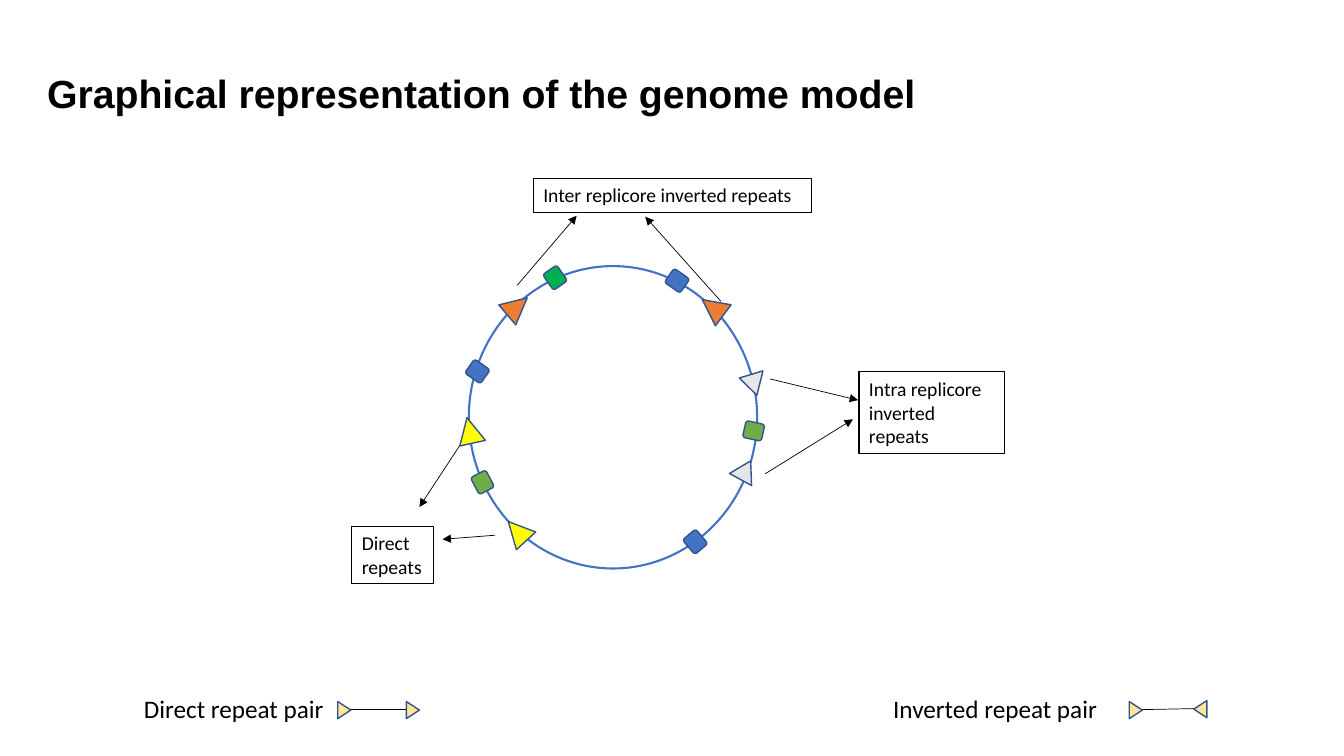
"""Build a slide showing repeats placed on a circular genome model."""
import pptx
import pptx.dml.color
import pptx.enum.shapes
import pptx.enum.text
import pptx.oxml.ns
import pptx.util
from lxml import etree

Inches = pptx.util.Inches
Shape = pptx.enum.shapes.MSO_SHAPE
Anchor = pptx.enum.text.MSO_ANCHOR
Fit = pptx.enum.text.MSO_AUTO_SIZE

THEME = {
    "blue": "4472C4", "outline": "325491", "orange": "ED7D31", "gray": "E7E6E6",
    "green": "70AD47", "emerald": "00B050", "yellow": "FFFF00", "cream": "FFE699",
    "black": "000000", "white": "FFFFFF",
    "title": {"name": "Arial", "size": 28, "bold": True},
    "callout": {"name": "Calibri", "size": 14, "bold": False},
    "legend": {"name": "Calibri", "size": 18, "bold": False},
}
SLIDE_SIZE = (13.33, 7.5)
TITLE = ("Graphical representation of the genome model", (0.37, 0.2, 11.5, 1.45))
GENOME = (4.65, 2.64, 2.86, 3)

MARKERS = {
    "repeat": (Shape.ISOSCELES_TRIANGLE, 0.26, 0.26),
    "small repeat": (Shape.ISOSCELES_TRIANGLE, 0.25, 0.21),
    "gene": (Shape.ROUNDED_RECTANGLE, 0.19, 0.17),
    "legend": (Shape.ISOSCELES_TRIANGLE, 0.17, 0.13),
}
GENOME_MARKERS = [
    ("repeat", 6.94, 2.92, 306.9, "orange"),
    ("repeat", 5, 2.91, 49.5, "orange"),
    ("repeat", 5, 5.14, 317.5, "yellow"),
    ("repeat", 4.53, 4.14, 347.6, "yellow"),
    ("small repeat", 7.27, 4.56, 28.6, "gray"),
    ("small repeat", 7.31, 3.67, 283.9, "gray"),
    ("gene", 6.62, 2.7, 35.2, "blue"),
    ("gene", 7.38, 4.19, 12.6, "green"),
    ("gene", 4.64, 3.6, 35.2, "blue"),
    ("gene", 4.69, 4.7, 62.3, "green"),
    ("gene", 5.41, 2.67, 55.3, "emerald"),
    ("gene", 6.8, 5.29, 49.9, "blue"),
]
CALLOUTS = [
    ("Inter replicore inverted repeats", (5.29, 1.77, 2.76, 0.34),
     [((7.15, 2.99), (6.4, 2.15)), ((5.13, 2.83), (5.72, 2.14))]),
    ("Intra replicore inverted repeats", (8.52, 3.69, 1.44, 0.81),
     [((7.59, 4.7), (8.46, 4.16)), ((7.64, 3.76), (8.51, 3.97))]),
    ("Direct repeats", (3.49, 5.22, 0.81, 0.57),
     [((4.56, 4.42), (4.16, 5.03)), ((4.91, 5.31), (4.39, 5.35))]),
]
LEGEND = [
    ("Direct repeat pair", (1.33, 6.83, 3.17, 0.4),
     [(3.33, 6.98, 90), (4.01, 6.98, 90)], ((3.48, 7.04), (4.03, 7.04))),
    ("Inverted repeat pair", (8.76, 6.83, 2.51, 0.4),
     [(11.18, 6.98, 90), (11.82, 6.97, 270)], ((11.33, 7.04), (11.84, 7.03))),
]


def color(name):
    return pptx.dml.color.RGBColor.from_string(THEME[name])


def set_all(target, values):
    for name, value in values.items():
        setattr(target, name, value)


def set_line(line, name, width):
    line.color.rgb = color(name)
    line.width = pptx.util.Pt(width)


def add_figure(page, kind, frame, fill, outline, width, rotation=0):
    figure = page.shapes.add_shape(kind, *map(Inches, frame))
    figure.shadow.inherit = False
    figure.rotation = rotation
    figure.fill.solid()
    figure.fill.fore_color.rgb = color(fill)
    set_line(figure.line, outline, width)


def add_marker(page, kind, left, top, rotation, fill):
    preset, width, height = MARKERS[kind]
    add_figure(page, preset, (left, top, width, height), fill, "outline", 1, rotation)


def add_label(page, text, frame, style, **layout):
    box = page.shapes.add_textbox(*map(Inches, frame))
    set_all(box.text_frame, {"word_wrap": True, **layout})
    span = box.text_frame.paragraphs[0].add_run()
    span.text = text
    values = THEME[style]
    set_all(span.font, {**values, "size": pptx.util.Pt(values["size"])})
    span.font.color.rgb = color("black")
    return box


def add_line(page, start, end, arrow=False):
    connector = page.shapes.add_connector(
        pptx.enum.shapes.MSO_CONNECTOR.STRAIGHT, *map(Inches, start + end))
    set_line(connector.line, "black", 0.5)
    if arrow:
        etree.SubElement(connector.line._get_or_add_ln(),
                         pptx.oxml.ns.qn("a:tailEnd"), type="triangle")
    etree.SubElement(connector._element.spPr, pptx.oxml.ns.qn("a:effectLst"))


def main():
    deck = pptx.Presentation()
    deck.slide_width, deck.slide_height = map(Inches, SLIDE_SIZE)
    page = deck.slides.add_slide(deck.slide_layouts[6])

    add_label(page, *TITLE, "title", vertical_anchor=Anchor.MIDDLE)
    add_figure(page, Shape.OVAL, GENOME, "white", "blue", 1.5)
    for marker in GENOME_MARKERS:
        add_marker(page, *marker)
    for text, frame, arrows in CALLOUTS:
        box = add_label(page, text, frame, "callout", auto_size=Fit.SHAPE_TO_FIT_TEXT)
        set_line(box.line, "black", 0.75)
        for start, end in arrows:
            add_line(page, start, end, arrow=True)
    for text, frame, triangles, link in LEGEND:
        add_label(page, text, frame, "legend", auto_size=Fit.SHAPE_TO_FIT_TEXT)
        for left, top, rotation in triangles:
            add_marker(page, "legend", left, top, rotation, "cream")
        add_line(page, *link)

    deck.save("out.pptx")


if __name__ == "__main__":
    main()
